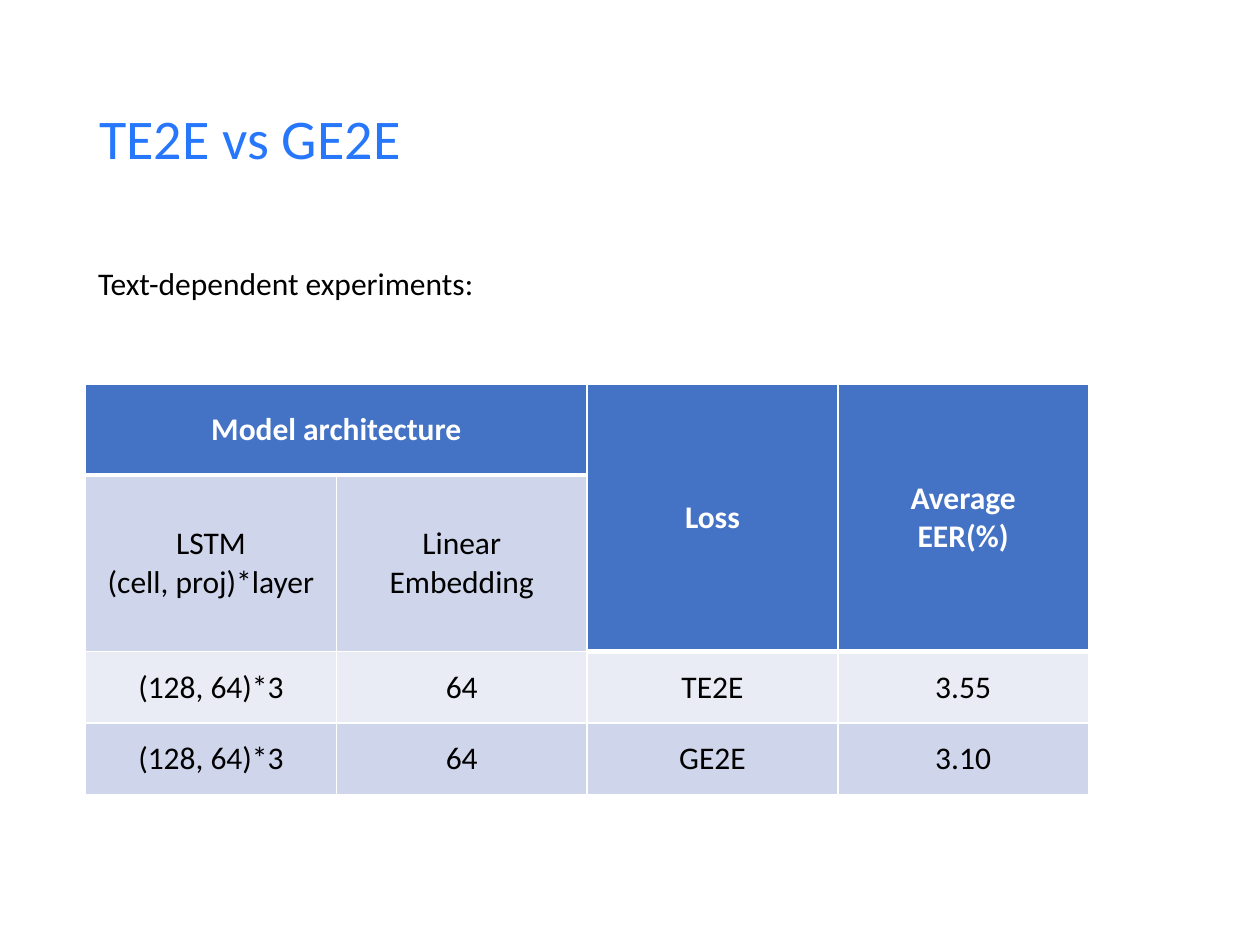
from lxml import etree
from pptx import Presentation
from pptx.dml.color import RGBColor
from pptx.enum.text import MSO_ANCHOR, PP_ALIGN
from pptx.oxml.ns import qn
from pptx.util import Inches, Pt

MIDDLE, TOP = MSO_ANCHOR.MIDDLE, MSO_ANCHOR.TOP
LEFT, CENTER = PP_ALIGN.LEFT, PP_ALIGN.CENTER
BLANK_LAYOUT = 6

BLUE, WHITE, BLACK = "4472C4", "FFFFFF", "000000"
TITLE_BLUE = "2777FC"
BANDS = ["E9EBF5", "CFD5EA"]

COLUMN_WIDTHS = [1.99] * 4
ROW_HEIGHTS = [0.72, 1.4, 0.57, 0.57]
ROWS = [
    ["Model architecture", "", "Loss", "Average\nEER(%)"],
    ["LSTM\n(cell, proj)*layer", "Linear\nEmbedding", "", ""],
    ["(128, 64)*3", "64", "TE2E", "3.55"],
    ["(128, 64)*3", "64", "GE2E", "3.10"],
]
MERGES = [((0, 0), (0, 1)), ((0, 2), (1, 2)), ((0, 3), (1, 3))]


def color(value):
    return RGBColor.from_string(value)


def is_header(row, column):
    return row == 0 or (row == 1 and column >= 2)


class SlideBuilder:
    font_name = "Calibri"
    body_size = 18

    def __init__(self, slide):
        self.slide = slide

    def fill_text(self, frame, text, size, text_color, bold=False, align=LEFT, spacing=1.0):
        frame.text = text
        font_format = {"name": self.font_name, "size": Pt(size), "bold": bold}
        for paragraph in frame.paragraphs:
            paragraph.alignment = align
            paragraph.line_spacing = spacing
            for name, value in font_format.items():
                setattr(paragraph.font, name, value)
            paragraph.font.color.rgb = color(text_color)

    def text(self, box, text, size, text_color, anchor=TOP, spacing=1.0):
        shape = self.slide.shapes.add_textbox(*map(Inches, box))
        shape.text_frame.word_wrap = True
        shape.text_frame.vertical_anchor = anchor
        self.fill_text(shape.text_frame, text, size, text_color, spacing=spacing)

    def borders(self, cell, widths):
        properties = cell._tc.get_or_add_tcPr()
        for side, width in widths.items():
            line = etree.SubElement(properties, qn(f"a:ln{side}"), w=str(Pt(width)))
            fill = etree.SubElement(line, qn("a:solidFill"))
            etree.SubElement(fill, qn("a:srgbClr"), val=WHITE)

    def table(self, left, top):
        width, height = sum(COLUMN_WIDTHS), sum(ROW_HEIGHTS)
        box = map(Inches, (left, top, width, height))
        table = self.slide.shapes.add_table(len(ROWS), len(COLUMN_WIDTHS), *box).table
        for column, column_width in zip(table.columns, COLUMN_WIDTHS):
            column.width = Inches(column_width)
        for row, row_height in zip(table.rows, ROW_HEIGHTS):
            row.height = Inches(row_height)
        for start, end in MERGES:
            table.cell(*start).merge(table.cell(*end))
        for row, texts in enumerate(ROWS):
            for column, text in enumerate(texts):
                self.cell(table.cell(row, column), text, row, column)

    def cell(self, cell, text, row, column):
        header = is_header(row, column)
        below_header = row > 0 and is_header(row - 1, column)
        self.borders(cell, {"L": 1, "R": 1, "T": 3 if below_header else 1,
                            "B": 3 if header else 1})
        cell.fill.solid()
        cell.fill.fore_color.rgb = color(BLUE if header else BANDS[row % 2])
        cell.vertical_anchor = MIDDLE
        self.fill_text(cell.text_frame, text, self.body_size,
                       WHITE if header else BLACK, bold=header, align=CENTER)


def main():
    presentation = Presentation()
    presentation.slide_width, presentation.slide_height = Inches(10), Inches(7.5)
    layout = presentation.slide_layouts[BLANK_LAYOUT]
    builder = SlideBuilder(presentation.slides.add_slide(layout))

    # Title
    builder.text((0.69, 0.4, 9.42, 1.45), "TE2E vs GE2E", 32, TITLE_BLUE,
                 anchor=MIDDLE, spacing=0.9)

    # Results table
    builder.table(0.68, 3.05)

    # Table heading
    builder.text((0.68, 2.05, 4.29, 0.4), "Text-dependent experiments:",
                 builder.body_size, BLACK)

    presentation.save("out.pptx")


if __name__ == "__main__":
    main()
